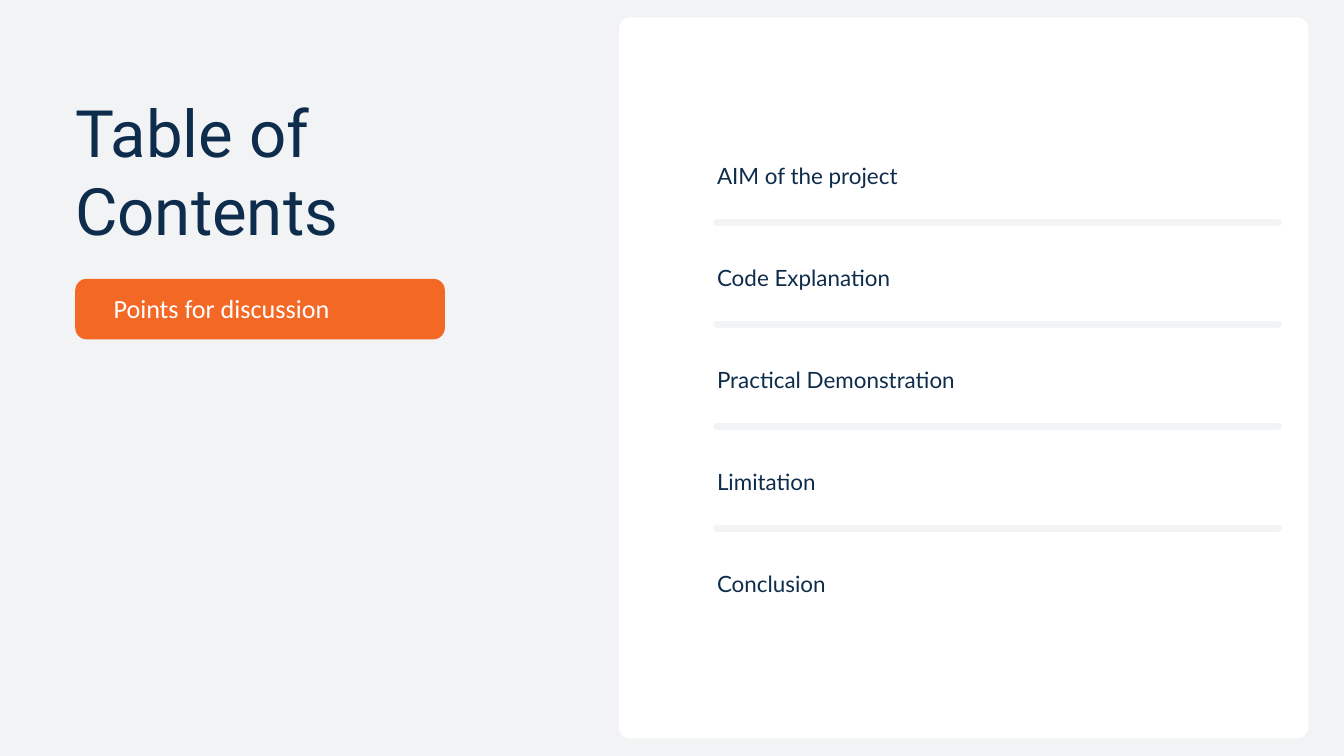
from pptx import Presentation
from pptx.dml.color import RGBColor
from pptx.enum.shapes import MSO_CONNECTOR, MSO_SHAPE
from pptx.enum.text import MSO_AUTO_SIZE
from pptx.oxml.ns import qn
from pptx.util import Inches, Pt
from lxml.etree import SubElement

COLORS = {"back": "F2F3F4", "card": "FFFFFF", "accent": "F36825",
          "ink": "0E2C4B", "light": "FFFFFF"}
TOPICS = ["AIM of the project", "Code Explanation", "Practical Demonstration",
          "Limitation", "Conclusion"]

# Topic grid, in inches
LIST_LEFT, LIST_TOP, ROW_H = 10.67, 2.35, 1.5175
RULE_W, RULE_DROP = 8.35, 0.96
LEFT_MARGIN = 1.12
RADIUS = 0.17


def rgb(name):
    return RGBColor.from_string(COLORS[name])


def add_panel(slide, x, y, w, h, color):
    sp = slide.shapes.add_shape(MSO_SHAPE.ROUNDED_RECTANGLE,
                                Inches(x), Inches(y), Inches(w), Inches(h))
    sp.adjustments[0] = RADIUS / min(w, h)
    sp.shadow.inherit = False
    sp.fill.solid()
    sp.fill.fore_color.rgb = rgb(color)
    sp.line.fill.background()


def add_rule(slide, x, y, w):
    """Draw a thick horizontal divider with round ends."""
    line = slide.shapes.add_connector(MSO_CONNECTOR.STRAIGHT, Inches(x), Inches(y),
                                      Inches(x + w), Inches(y))
    line.line.color.rgb = rgb("back")
    line.line.width = Pt(8)
    line.line._get_or_add_ln().set("cap", "rnd")
    SubElement(line._element.spPr, qn("a:effectLst"))


def add_text(slide, text, x, y, w, h, font, size, color, leading=33.6):
    box = slide.shapes.add_textbox(Inches(x), Inches(y), Inches(w), Inches(h))
    tf = box.text_frame
    tf.word_wrap = True
    tf.auto_size = MSO_AUTO_SIZE.SHAPE_TO_FIT_TEXT
    tf.margin_left = tf.margin_right = tf.margin_top = tf.margin_bottom = 0
    p = tf.paragraphs[0]
    p.line_spacing = Pt(leading)
    r = p.add_run()
    r.text = text
    r.font.name = font
    r.font.size = Pt(size)
    r.font.color.rgb = rgb(color)


def add_topics(slide):
    for i, topic in enumerate(TOPICS):
        y = LIST_TOP + i * ROW_H
        add_text(slide, topic, LIST_LEFT, y, 7.5, 0.44, "Lato", 24, "ink")
        if i < len(TOPICS) - 1:
            add_rule(slide, LIST_LEFT, y + RULE_DROP, RULE_W)


def main():
    prs = Presentation()
    prs.slide_width, prs.slide_height = Inches(20), Inches(11.25)
    s = prs.slides.add_slide(prs.slide_layouts[6])
    s.background.fill.solid()
    s.background.fill.fore_color.rgb = rgb("back")

    add_panel(s, 9.21, 0.26, 10.26, 10.73, "card")
    add_topics(s)
    add_panel(s, LEFT_MARGIN, 4.15, 5.5, 0.9, "accent")
    add_text(s, "Table of Contents", LEFT_MARGIN, 1.37, 6.75, 2.31,
             "Roboto", 70, "ink", leading=84)
    add_text(s, "Points for discussion", 1.69, 4.35, 4.58, 0.45,
             "Calibri", 28, "light")
    prs.save("out.pptx")


if __name__ == "__main__":
    main()
